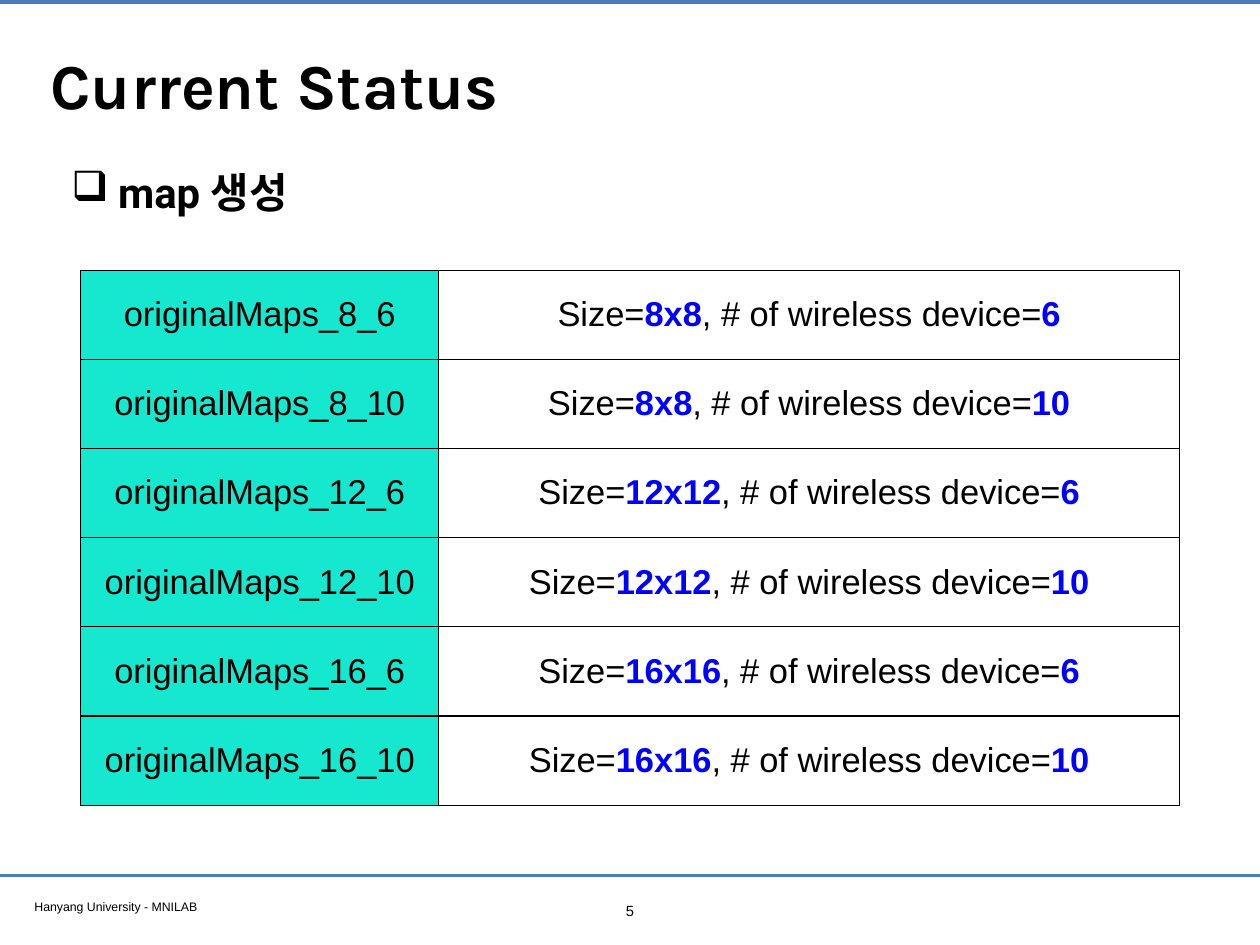
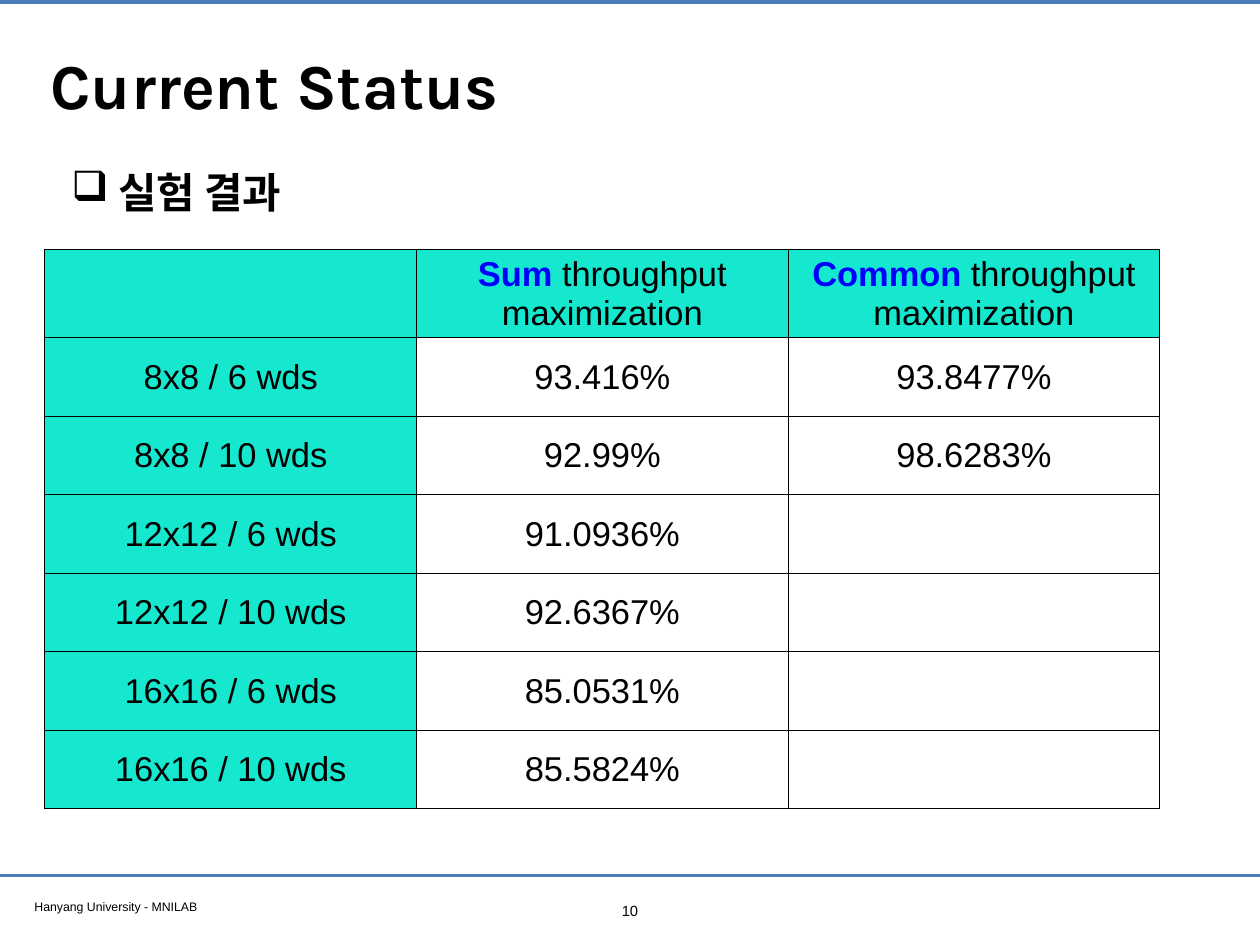
from lxml import etree
from pptx import Presentation
from pptx.dml.color import RGBColor
from pptx.enum.shapes import MSO_CONNECTOR
from pptx.enum.text import MSO_ANCHOR, PP_ALIGN
from pptx.oxml.ns import qn
from pptx.util import Pt

LEFT, CENTER = PP_ALIGN.LEFT, PP_ALIGN.CENTER
TOP, MIDDLE = MSO_ANCHOR.TOP, MSO_ANCHOR.MIDDLE
STRAIGHT = MSO_CONNECTOR.STRAIGHT

BLACK = RGBColor(0x00, 0x00, 0x00)
BLUE = RGBColor(0x00, 0x00, 0xFF)
TEAL = RGBColor(0x16, 0xE7, 0xCF)
RULE = RGBColor(0x4A, 0x7E, 0xBB)

WIDTH, HEIGHT = 1024, 768
RULES = [(1.5, 3.2), (711.5, 2)]  # y, line width

TITLE = dict(name="Karla", size=Pt(52), bold=True)
HEADING = dict(name="Roboto", size=Pt(34), bold=True)
FOOTER = dict(name="Arial", size=Pt(10), bold=False)
NUMBER = dict(name="Arial", size=Pt(12), bold=False)
CELL = dict(name="Arial", size=Pt(28), bold=False)


def write(tf, text, style, align=LEFT, anchor=TOP, inset=4.5):
    """Fill a text frame; parts between asterisks are bold blue."""
    tf.word_wrap = True
    tf.vertical_anchor = anchor
    tf.margin_left = tf.margin_right = Pt(inset)
    tf.margin_top = tf.margin_bottom = Pt(inset)
    for i, line in enumerate(text.split("\n")):
        p = tf.paragraphs[0] if i == 0 else tf.add_paragraph()
        p.alignment = align
        for j, part in enumerate(line.split("*")):
            if part:
                r = p.add_run()
                r.text = part
                for key, value in style.items():
                    setattr(r.font, key, value)
                r.font.color.rgb = BLACK
                if j % 2:
                    r.font.bold = True
                    r.font.color.rgb = BLUE


def add_border(cell):
    """Draw a thin black line on all four sides of a cell."""
    tcPr = cell._tc.get_or_add_tcPr()
    for i, side in enumerate(("a:lnL", "a:lnR", "a:lnT", "a:lnB")):
        ln = etree.Element(qn(side), w=str(Pt(1)))
        fill = etree.SubElement(ln, qn("a:solidFill"))
        etree.SubElement(fill, qn("a:srgbClr"), val=str(BLACK))
        tcPr.insert(i, ln)


# Content of the two slides
sizes = ["8", "12", "16"]
devices = ["6", "10"]
cases = [(n, d) for n in sizes for d in devices]
sums = ["93.416%", "92.99%", "91.0936%", "92.6367%", "85.0531%", "85.5824%"]
commons = ["93.8477%", "98.6283%", "", "", "", ""]

map_rows = [[f"originalMaps_{n}_{d}",
             f"Size=*{n}x{n}*, # of wireless device=*{d}*"] for n, d in cases]
result_rows = [["", "*Sum* throughput\nmaximization",
                "*Common* throughput maximization"]]
for (n, d), total, common in zip(cases, sums, commons):
    result_rows.append([f"{n}x{n} / {d} wds", total, common])

slides = [
    dict(number="5", heading="map 생성", rows=map_rows, header_rows=0,
         left=65.5, top=219.5, cols=[291, 602], heights=[72.5] * 6),
    dict(number="10", heading="실험 결과", rows=result_rows, header_rows=1,
         left=36.5, top=203, cols=[302] * 3, heights=[69] + [63.8] * 6),
]

prs = Presentation()
prs.slide_width, prs.slide_height = Pt(WIDTH), Pt(HEIGHT)

for page in slides:
    s = prs.slides.add_slide(prs.slide_layouts[5])

    # Rules at the top and above the footer
    for y, weight in RULES:
        line = s.shapes.add_connector(STRAIGHT, 0, Pt(y), Pt(WIDTH), Pt(y))
        line.line.color.rgb = RULE
        line.line.width = Pt(weight)
        etree.SubElement(line._element.spPr, qn("a:effectLst"))

    # Title
    title = s.shapes.title
    title.left, title.top = Pt(36.5), Pt(20)
    title.width, title.height = Pt(951), Pt(97)
    write(title.text_frame, "Current Status", TITLE, anchor=MIDDLE)

    # Heading, footer and page number
    for text, style, align, box in [
        (page["heading"], HEADING, LEFT, (53.5, 123, 880, 74)),
        ("Hanyang University - MNILAB", FOOTER, LEFT, (23.5, 726.5, 393, 19)),
        (page["number"], NUMBER, CENTER, (498, 728.5, 28, 22)),
    ]:
        sp = s.shapes.add_textbox(*map(Pt, box))
        write(sp.text_frame, text, style, align)
        if style is HEADING:
            p = sp.text_frame.paragraphs[0]
            pPr = p._p.get_or_add_pPr()
            pPr.set("marL", str(Pt(38)))
            pPr.set("indent", str(Pt(-38)))
            etree.SubElement(pPr, qn("a:buChar"), char="❑")
            p.line_spacing = 1.2

    # Table
    cols, heights = page["cols"], page["heights"]
    table = s.shapes.add_table(
        len(heights), len(cols), Pt(page["left"]), Pt(page["top"]),
        Pt(sum(cols)), Pt(sum(heights))).table
    table.first_row = table.horz_banding = False
    for column, width in zip(table.columns, cols):
        column.width = Pt(width)
    for i, (row, height) in enumerate(zip(table.rows, heights)):
        row.height = Pt(height)
        for j, cell in enumerate(row.cells):
            if j == 0 or i < page["header_rows"]:
                cell.fill.solid()
                cell.fill.fore_color.rgb = TEAL
            else:
                cell.fill.background()
            add_border(cell)
            write(cell.text_frame, page["rows"][i][j], CELL, CENTER)
            cell.vertical_anchor = MIDDLE
            cell.margin_top = cell.margin_bottom = Pt(2.2)

prs.save("out.pptx")
